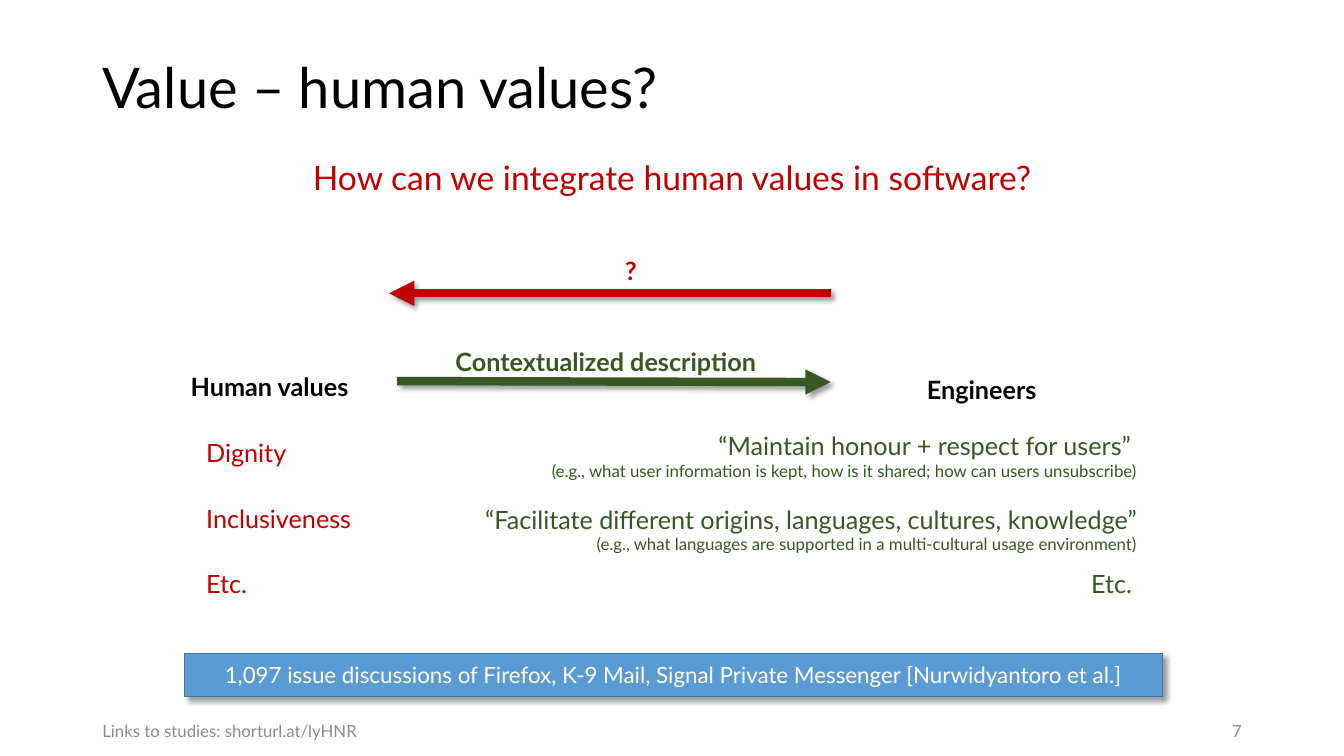
from dataclasses import dataclass

from lxml.etree import SubElement
from pptx import Presentation
from pptx.dml.color import RGBColor
from pptx.enum.shapes import MSO_CONNECTOR as Connector, MSO_SHAPE as Preset
from pptx.enum.text import MSO_ANCHOR as Anchor, PP_ALIGN as Align
from pptx.oxml.ns import qn
from pptx.slide import Slide
from pptx.text.text import TextFrame
from pptx.util import Pt

FONT = "Lato"
COLORS = {
    "black": "000000", "white": "FFFFFF", "red": "C00000", "green": "385723",
    "grey": "8C8C8C", "blue": "5B9BD5", "blue_edge": "43739E",
}
VALUES_TOP, VALUES_STEP = 309, 46.8
QUOTES_RIGHT = 819.4


@dataclass(frozen=True)
class Line:
    text: str
    size: float = 18


@dataclass(frozen=True)
class Label:
    left: float
    top: float
    width: float
    height: float
    lines: tuple[Line, ...]
    color: str
    align: Align = Align.LEFT
    anchor: Anchor = Anchor.TOP
    bold: bool = False
    spacing: float = 1.0


@dataclass(frozen=True)
class Arrow:
    start: tuple[float, float]
    end: tuple[float, float]
    color: str


def heading(left: float, top: float, width: float, text: str, color: str) -> Label:
    return Label(left, top, width, 26.6, (Line(text),), color, Align.CENTER,
                 bold=True, spacing=0.9)


def quote(top: float, width: float, text: str, example: str) -> Label:
    return Label(QUOTES_RIGHT - width, top, width, 43.9,
                 (Line(text), Line(example, 12)), "green", Align.RIGHT)


VALUE_LABELS = [
    Label(140.2, VALUES_TOP + row * VALUES_STEP, 201.6, 28.8, (Line(name),), "red")
    for row, name in enumerate(("Dignity", "Inclusiveness", "Etc."))
]
LABELS = [
    Label(66, 28.8, 828, 71.3, (Line("Value – human values?", 40),), "black",
          anchor=Anchor.MIDDLE, spacing=0.9),
    Label(66, 111.6, 828, 40, (Line("How can we integrate human values in software?", 24),),
          "red", Align.CENTER, spacing=0.9),
    Label(66, 507.6, 244.8, 28.8, (Line("Links to studies: shorturl.at/lyHNR", 12),),
          "grey", anchor=Anchor.MIDDLE),
    Label(650.8, 507.6, 243.4, 28.8, (Line("7", 12),), "grey", Align.RIGHT, Anchor.MIDDLE),
    heading(67.7, 264.2, 249.8, "Human values", "black"),
    heading(516.2, 266.4, 370, "Engineers", "black"),
    heading(265.7, 181.4, 370, "?", "red"),
    heading(247.7, 246.2, 370, "Contextualized description", "green"),
    *VALUE_LABELS,
    quote(303.8, 486.7, "“Maintain honour + respect for users” ",
          "(e.g., what user information is kept, how is it shared; how can users unsubscribe)"),
    quote(356.4, 535.7, "“Facilitate different origins, languages, cultures, knowledge”",
          "(e.g., what languages are supported in a multi-cultural usage environment)"),
    Label(547.2, VALUES_TOP + 2 * VALUES_STEP, 268.6, 28.8, (Line("Etc."),), "green",
          Align.RIGHT),
]
BANNER = Label(
    131.8, 466.6, 698.4, 31,
    (Line("1,097 issue discussions of Firefox, K-9 Mail, Signal Private Messenger "
          "[Nurwidyantoro et al.]", 16),),
    "white", Align.CENTER, Anchor.MIDDLE,
)
ARROWS = [
    Arrow((593.3, 209.5), (277.9, 209.5), "red"),
    Arrow((283.7, 272.2), (593.3, 272.9), "green"),
]


def rgb(name: str) -> RGBColor:
    return RGBColor.from_string(COLORS[name])


def write(frame: TextFrame, label: Label) -> None:
    frame.word_wrap = True
    frame.vertical_anchor = label.anchor
    for index, line in enumerate(label.lines):
        paragraph = frame.add_paragraph() if index else frame.paragraphs[0]
        paragraph.alignment = label.align
        paragraph.line_spacing = label.spacing
        run = paragraph.add_run()
        run.text = line.text
        run.font.name = FONT
        run.font.size = Pt(line.size)
        run.font.bold = label.bold
        run.font.color.rgb = rgb(label.color)


def add_shadow(properties) -> None:
    """Append a soft black shadow, cast down and right, to an spPr element."""
    effects = SubElement(properties, qn("a:effectLst"))
    shadow = SubElement(effects, qn("a:outerShdw"), blurRad=str(Pt(4)), dist=str(Pt(3)),
                        dir=str(45 * 60000), algn="tl", rotWithShape="0")
    color = SubElement(shadow, qn("a:srgbClr"), val=COLORS["black"])
    SubElement(color, qn("a:alpha"), val="40000")


def add_label(slide: Slide, label: Label) -> None:
    box = slide.shapes.add_textbox(Pt(label.left), Pt(label.top),
                                   Pt(label.width), Pt(label.height))
    write(box.text_frame, label)


def add_banner(slide: Slide, label: Label) -> None:
    shape = slide.shapes.add_shape(Preset.RECTANGLE, Pt(label.left), Pt(label.top),
                                   Pt(label.width), Pt(label.height))
    shape.fill.solid()
    shape.fill.fore_color.rgb = rgb("blue")
    shape.line.color.rgb = rgb("blue_edge")
    shape.line.width = Pt(1)
    add_shadow(shape.element.spPr)
    write(shape.text_frame, label)


def add_arrow(slide: Slide, arrow: Arrow) -> None:
    connector = slide.shapes.add_connector(
        Connector.STRAIGHT, *(Pt(value) for value in arrow.start + arrow.end))
    connector.line.color.rgb = rgb(arrow.color)
    connector.line.width = Pt(6)
    properties = connector.element.spPr
    SubElement(properties.find(qn("a:ln")), qn("a:tailEnd"), type="triangle")
    add_shadow(properties)


def main() -> None:
    presentation = Presentation()
    presentation.slide_width, presentation.slide_height = Pt(960), Pt(540)
    slide = presentation.slides.add_slide(presentation.slide_layouts[6])
    for label in LABELS:
        add_label(slide, label)
    add_banner(slide, BANNER)
    for arrow in ARROWS:
        add_arrow(slide, arrow)
    presentation.save("out.pptx")


if __name__ == "__main__":
    main()
